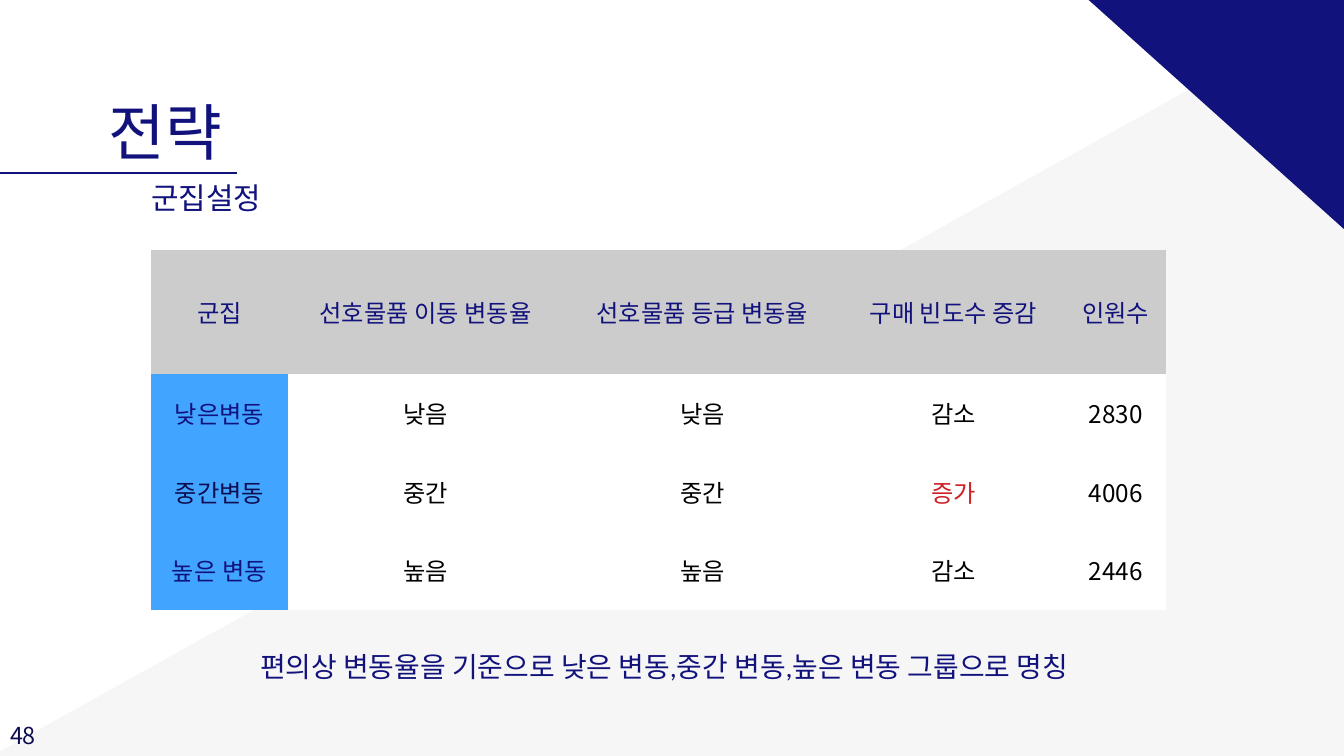
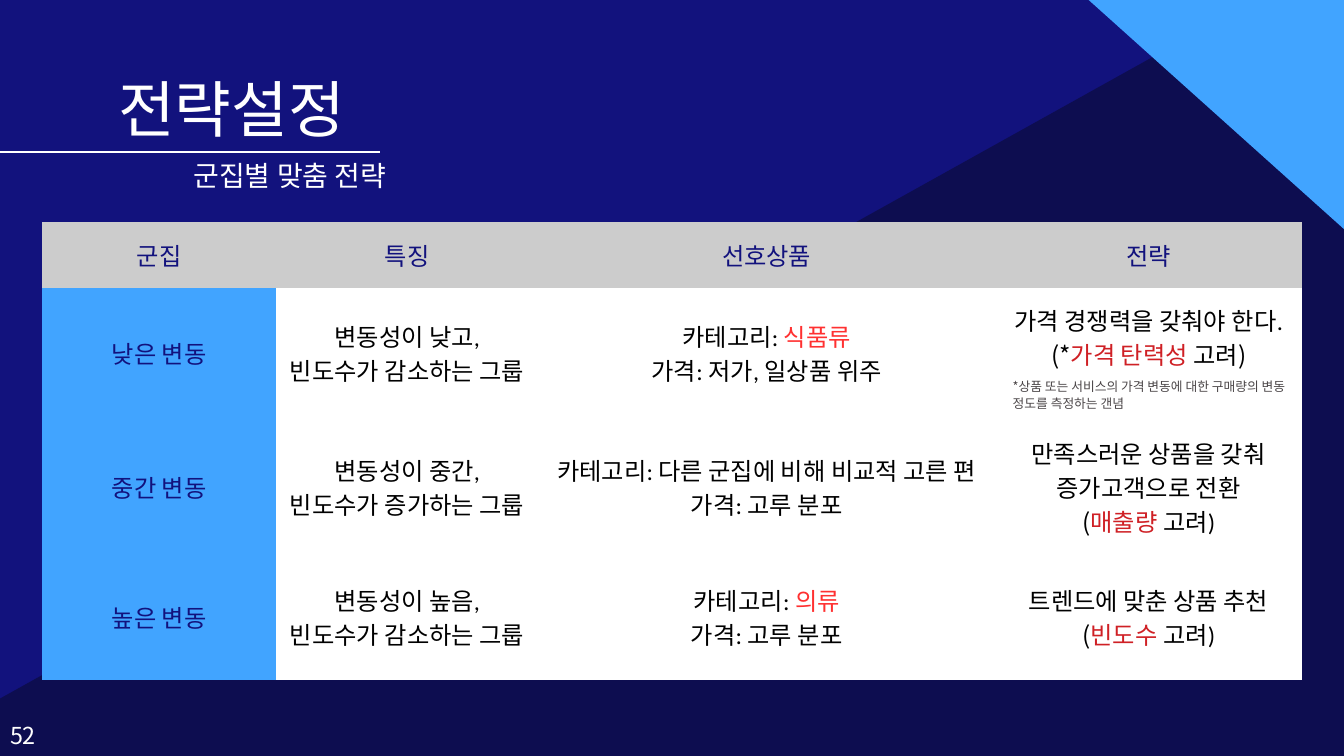
from pptx import Presentation
from pptx.dml.color import RGBColor
from pptx.enum.shapes import MSO_CONNECTOR
from pptx.enum.text import MSO_ANCHOR, MSO_AUTO_SIZE, PP_ALIGN
from pptx.oxml.ns import qn
from pptx.util import Inches, Pt
from lxml import etree

LEFT, MID = PP_ALIGN.LEFT, PP_ALIGN.CENTER
TOP, HALF = MSO_ANCHOR.TOP, MSO_ANCHOR.MIDDLE
FIXED = MSO_AUTO_SIZE.NONE
LINE = MSO_CONNECTOR.STRAIGHT
NAVY, DARK, SKY = "12127D", "0D0D50", "41A4FF"
WHITE, PALE, GREY, BLACK = "FFFFFF", "F6F6F6", "CCCCCC", "000000"
RED, CORAL, ASH = "CF2025", "FF3131", "4B4648"
LATIN, HANGUL = "Calibri", "Noto Sans CJK KR"
PLAIN = "{2D5ABB26-0587-4C30-8999-92F81FD0307C}"
tint = RGBColor.from_string

deck = Presentation()
deck.slide_width, deck.slide_height = Inches(20), Inches(11.25)
UNIT = deck.slide_width / 20


def grid(*cells):
    return [round(cell * UNIT) for cell in cells]


def write(frame, text, size, lead, ink, mark=RED, side=LEFT):
    frame.text = text
    for para in frame.paragraphs:
        parts = para.text.split("~")
        para.clear()
        para.alignment = side
        para.line_spacing = Pt(lead)
        for i, part in enumerate(parts):
            if part:
                run = para.add_run()
                run.text = part
                run.font.size = Pt(size)
                run.font.name = HANGUL if part[0] in "(* " or part.isdigit() else LATIN
                run.font.color.rgb = tint(mark if i % 2 else ink)


BAND = [(6.91, 25.24), (-0.7, 11.57), (20.61, -0.29), (28.21, 13.37)]
CORNER = [(24.2, -0.32), (20.47, 3.83), (15.8, -0.36), (19.53, -4.51)]

pages = [
    {
        "back": WHITE, "band": PALE, "shift": (0, 0), "corner": NAVY,
        "ink": NAVY, "foot": DARK, "rule": (-1.01, 2.57, 3.53, 2.57),
        "title": ("전략", (1.62, 1.39, 1.91, 1.1)),
        "notes": [
            ("군집설정", (2.25, 2.58, 1.7, 0.59), 32, 44.8, NAVY),
            ("편의상 변동율을 기준으로 낮은 변동,중간 변동,높은 변동 그룹으로 명칭",
             (3.87, 9.58, 12.26, 0.54), 29.9, 41.9, NAVY),
        ],
        "number": "48",
        "place": (2.25, 3.72, 15.1, 5.37),
        "cols": (2.03, 4.11, 4.13, 3.34, 1.49),
        "rows": (1.85, 1.17, 1.17, 1.17),
        "names": (NAVY, DARK, NAVY),
        "lift": {},
        "cells": [
            ("군집", "선호물품 이동 변동율", "선호물품 등급 변동율", "구매 빈도수 증감", "인원수"),
            ("낮은변동", "낮음", "낮음", "감소", "2830"),
            ("중간변동", "중간", "중간", "~증가~", "4006"),
            ("높은 변동", "높음", "높음", "감소", "2446"),
        ],
    },
    {
        "back": NAVY, "band": DARK, "shift": (-1.32, -0.05), "corner": SKY,
        "ink": WHITE, "foot": WHITE, "rule": (-1.51, 2.26, 5.66, 2.26),
        "title": ("전략설정", (1.76, 1.06, 3.84, 1.1)),
        "notes": [
            ("군집별 맞춤 전략", (2.88, 2.28, 2.93, 0.56), 30, 42, WHITE),
            ("*상품 또는 서비스의 가격 변동에 대한 구매량의 변동 정도를 측정하는 갠념",
             (15.07, 5.59, 4.17, 0.52), 13.7, 19.2, ASH),
        ],
        "number": "52",
        "place": (0.63, 3.31, 18.74, 6.82),
        "cols": (3.48, 3.9, 6.8, 4.57),
        "rows": (0.97, 1.97, 2.02, 1.85),
        "names": (NAVY, NAVY, NAVY),
        "lift": {(1, 3): 0.5},
        "cells": [
            ("군집", "특징", "선호상품", "전략"),
            ("낮은 변동", "변동성이 낮고,\n빈도수가 감소하는 그룹",
             "카테고리: ~식품류~\n가격: 저가, 일상품 위주",
             "가격 경쟁력을 갖춰야 한다.\n(*~가격 탄력성~ 고려)"),
            ("중간 변동", "변동성이 중간,\n빈도수가 증가하는 그룹",
             "카테고리: 다른 군집에 비해 비교적 고른 편\n가격: 고루 분포",
             "만족스러운 상품을 갖춰\n증가고객으로 전환\n(~매출량 ~고려)"),
            ("높은 변동", "변동성이 높음,\n빈도수가 감소하는 그룹",
             "카테고리: ~의류~\n가격: 고루 분포",
             "트렌드에 맞춘 상품 추천\n(~빈도수 ~고려)"),
        ],
    },
]

for page in pages:
    slide = deck.slides.add_slide(deck.slide_layouts[5])
    shapes = slide.shapes
    slide.background.fill.solid()
    slide.background.fill.fore_color.rgb = tint(page["back"])

    dx, dy = page["shift"]
    slope = [(x + dx, y + dy) for x, y in BAND]
    for points, hue in ((slope, page["band"]), (CORNER, page["corner"])):
        spots = [grid(*point) for point in points]
        pen = shapes.build_freeform(*spots[0])
        pen.add_line_segments(spots[1:], close=True)
        patch = pen.convert_to_shape()
        patch.shadow.inherit = False
        patch.fill.solid()
        patch.fill.fore_color.rgb = tint(hue)
        patch.line.fill.background()

    rule = shapes.add_connector(LINE, *grid(*page["rule"]))
    rule.line.color.rgb = tint(page["ink"])
    rule.line.width = Pt(2.25)
    etree.SubElement(rule._element.spPr, qn("a:effectLst"))

    text, place = page["title"]
    title = shapes.title
    title.left, title.top, title.width, title.height = grid(*place)
    boxes = [(title, text, 66, 79.2, page["ink"])]

    table = shapes.add_table(len(page["rows"]), len(page["cols"]), *grid(*page["place"])).table
    table._tbl.tblPr.find(qn("a:tableStyleId")).text = PLAIN
    table.first_row = table.horz_banding = False
    for col, width in zip(table.columns, grid(*page["cols"])):
        col.width = width
    for row, height in zip(table.rows, grid(*page["rows"])):
        row.height = height
    for r, line in enumerate(page["cells"]):
        for c, text in enumerate(line):
            cell = table.cell(r, c)
            cell.margin_left = cell.margin_right = cell.margin_top = Inches(0.13)
            cell.margin_bottom = Inches(0.13 + page["lift"].get((r, c), 0))
            cell.vertical_anchor = HALF
            cell.fill.solid()
            cell.fill.fore_color.rgb = tint(GREY if r == 0 else SKY if c == 0 else WHITE)
            ink = NAVY if r == 0 else page["names"][r - 1] if c == 0 else BLACK
            write(cell.text_frame, text, 26, 36.4, ink, CORAL if c == 2 else RED, MID)

    number = (page["number"], (0.15, 10.41, 1.34, 0.65), 25, 53, page["foot"])
    for text, place, *style in page["notes"] + [number]:
        boxes.append((shapes.add_textbox(*grid(*place)), text, *style))

    for box, text, size, lead, ink in boxes:
        frame = box.text_frame
        frame.word_wrap = True
        frame.auto_size = FIXED
        frame.vertical_anchor = TOP
        frame.margin_left = frame.margin_right = 0
        frame.margin_top = frame.margin_bottom = 0
        write(frame, text, size, lead, ink)

deck.save("out.pptx")
